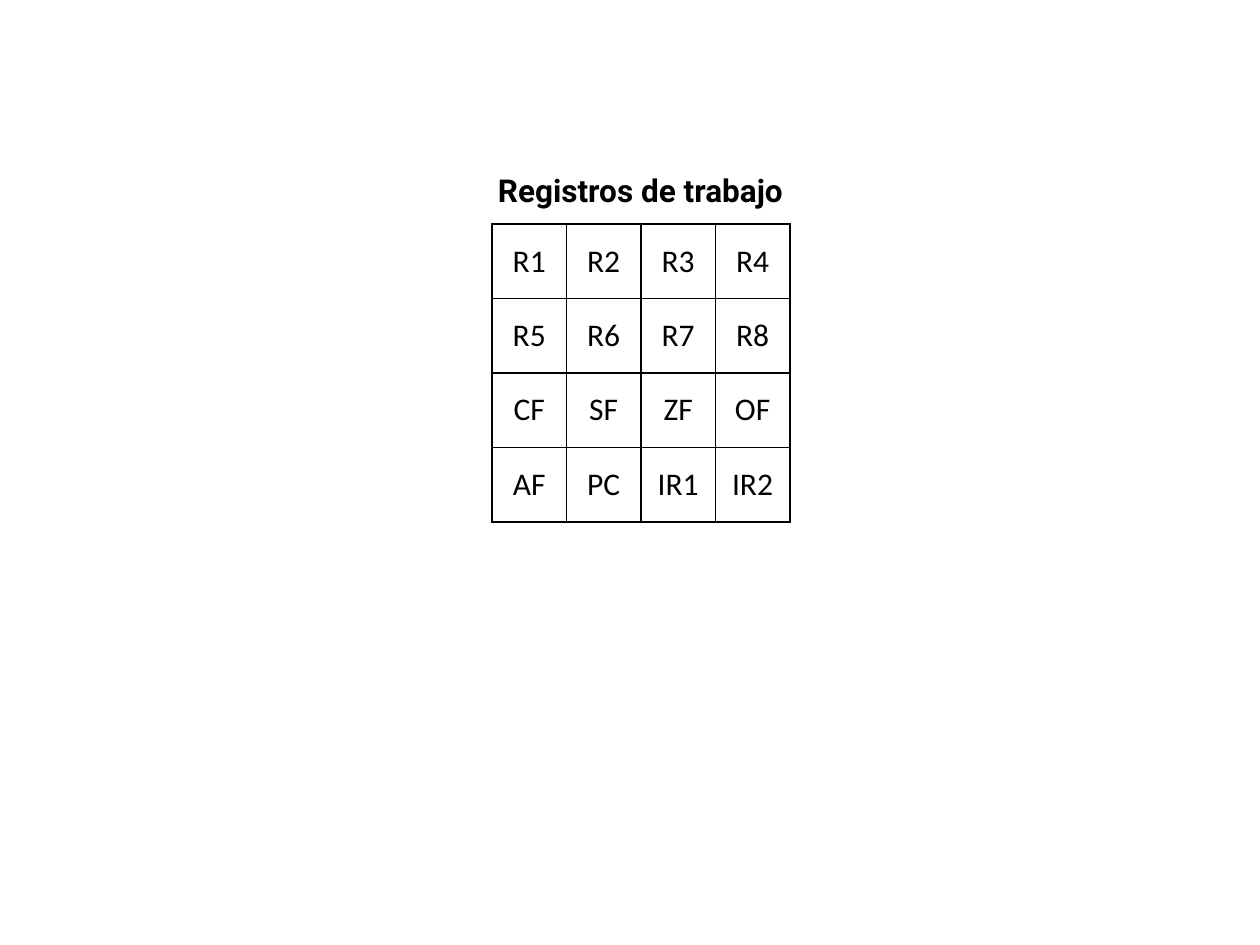
import dataclasses

import lxml.etree
import pptx
import pptx.dml.color
import pptx.enum.text
import pptx.oxml.ns
import pptx.util

PIXEL = 914400 / 126


@dataclasses.dataclass
class Theme:
    ink: str = "000000"
    background: str = "FFFFFF"
    title_font: str = "Roboto"
    cell_font: str = "Calibri"
    text_size: int = 18
    border_width: int = 1


class SlideBuilder:
    def __init__(self, slide, theme):
        self.slide = slide
        self.theme = theme
        slide.background.fill.solid()
        slide.background.fill.fore_color.rgb = self.color(theme.background)

    def color(self, value):
        return pptx.dml.color.RGBColor.from_string(value)

    def box(self, *pixels):
        return [pptx.util.Emu(round(pixel * PIXEL)) for pixel in pixels]

    def style(self, paragraph, font_name, bold=False):
        paragraph.alignment = pptx.enum.text.PP_ALIGN.CENTER
        paragraph.font.name = font_name
        paragraph.font.size = pptx.util.Pt(self.theme.text_size)
        paragraph.font.bold = bold
        paragraph.font.color.rgb = self.color(self.theme.ink)

    def title(self, text, left, top, width, height):
        shape = self.slide.shapes.add_textbox(*self.box(left, top, width, height))
        frame = shape.text_frame
        frame.word_wrap = True
        frame.auto_size = pptx.enum.text.MSO_AUTO_SIZE.SHAPE_TO_FIT_TEXT
        frame.text = text
        self.style(frame.paragraphs[0], self.theme.title_font, bold=True)

    def border(self, cell):
        properties = cell._tc.get_or_add_tcPr()
        qualified = pptx.oxml.ns.qn
        for position, side in enumerate(("a:lnL", "a:lnR", "a:lnT", "a:lnB")):
            line = lxml.etree.Element(qualified(side))
            line.set("w", str(pptx.util.Pt(self.theme.border_width)))
            fill = lxml.etree.SubElement(line, qualified("a:solidFill"))
            lxml.etree.SubElement(fill, qualified("a:srgbClr")).set("val", self.theme.ink)
            properties.insert(position, line)

    def table(self, rows, left, top, width, height):
        table = self.slide.shapes.add_table(
            len(rows), len(rows[0]), *self.box(left, top, width, height)
        ).table
        table.first_row = False
        table.horz_banding = False
        for row_index, row in enumerate(rows):
            for column_index, text in enumerate(row):
                cell = table.cell(row_index, column_index)
                cell.text = text
                cell.vertical_anchor = pptx.enum.text.MSO_ANCHOR.MIDDLE
                cell.fill.background()
                self.style(cell.text_frame.paragraphs[0], self.theme.cell_font)
                self.border(cell)


presentation = pptx.Presentation()
presentation.slide_width = pptx.util.Inches(10)
presentation.slide_height = pptx.util.Inches(7.5)
builder = SlideBuilder(
    presentation.slides.add_slide(presentation.slide_layouts[6]), Theme()
)

registers = [
    ["R1", "R2", "R3", "R4"],
    ["R5", "R6", "R7", "R8"],
    ["CF", "SF", "ZF", "OF"],
    ["AF", "PC", "IR1", "IR2"],
]
builder.table(registers, 492, 224, 298, 298)
builder.title("Registros de trabajo", 413, 165, 455, 51)

presentation.save("out.pptx")
